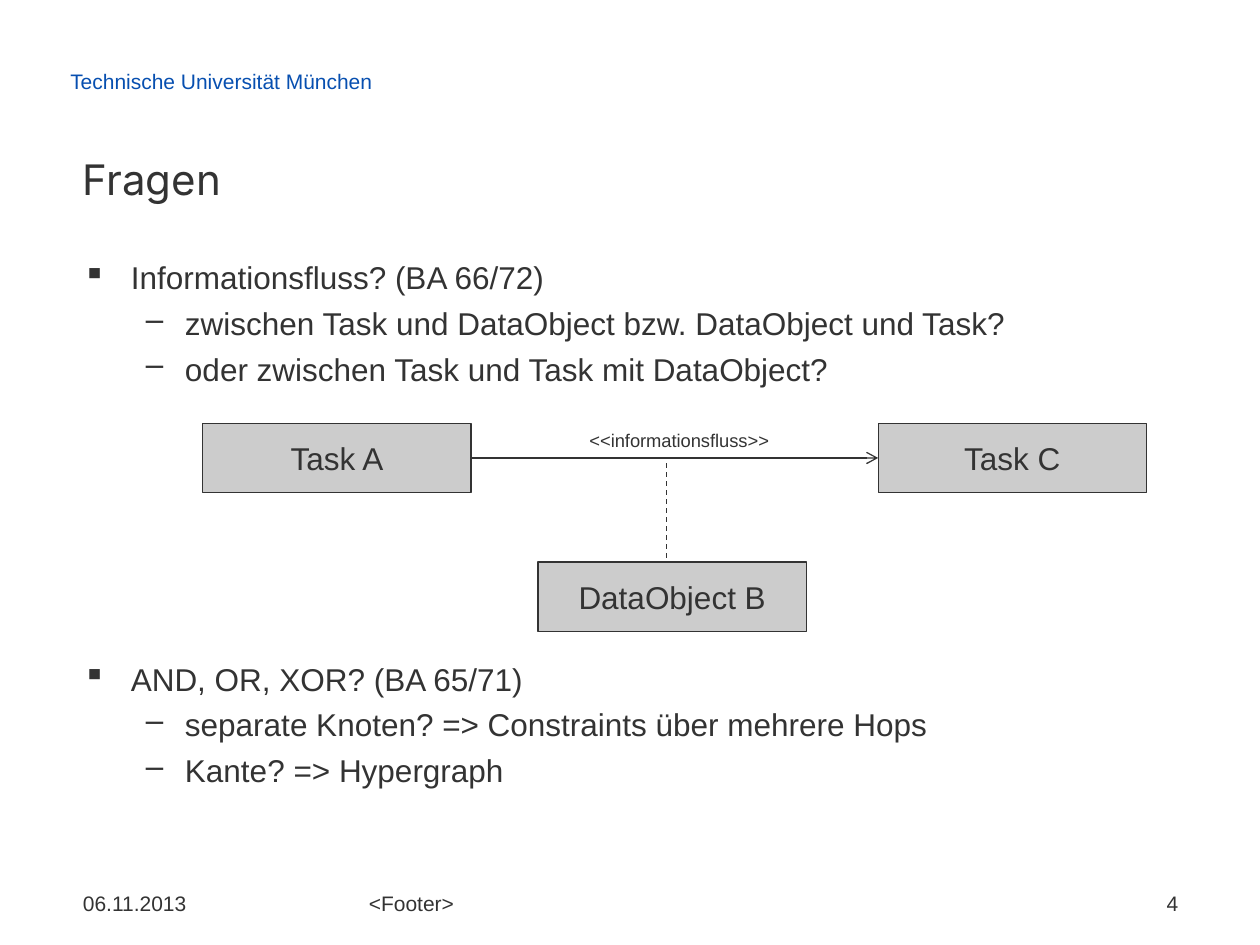
import pptx
import pptx.util
import pptx.dml.color
import pptx.enum.dml
import pptx.enum.shapes
import pptx.enum.text
import pptx.oxml.ns
import lxml.etree

Inches, Pt = pptx.util.Inches, pptx.util.Pt
RGBColor = pptx.dml.color.RGBColor
ALIGN = pptx.enum.text.PP_ALIGN
ANCHOR = pptx.enum.text.MSO_ANCHOR
qn = pptx.oxml.ns.qn

INK = RGBColor(0x33, 0x33, 0x33)
BLUE = RGBColor(0x07, 0x4F, 0xB0)
GREY = RGBColor(0xCC, 0xCC, 0xCC)

BULLETS = {0: ("▪", 0.38, -0.38), 1: ("–", 0.81, -0.31)}
DIAGRAM_GAP = 155.5
QUESTIONS = [
    (0, 0, "Informationsfluss? (BA 66/72)"),
    (1, 4.5, "zwischen Task und DataObject bzw. DataObject und Task?"),
    (1, 4.5, "oder zwischen Task und Task mit DataObject?"),
    (0, DIAGRAM_GAP, "AND, OR, XOR? (BA 65/71)"),
    (1, 4.5, "separate Knoten? => Constraints über mehrere Hops"),
    (1, 4.5, "Kante? => Hypergraph"),
]


def write(paragraph, text, size=18, font="Arial", color=INK, align=ALIGN.LEFT):
    """Put formatted text into a paragraph."""
    run = paragraph.add_run()
    run.text = text
    run.font.size = Pt(size)
    run.font.name = font
    run.font.color.rgb = color
    paragraph.alignment = align


def add_frame(slide, box, anchor=ANCHOR.TOP, wrap=True):
    """Add a text box at (left, top, width, height) and return its frame."""
    frame = slide.shapes.add_textbox(*map(Inches, box)).text_frame
    frame.word_wrap = wrap
    frame.vertical_anchor = anchor
    return frame


def add_label(slide, box, text, anchor=ANCHOR.MIDDLE, wrap=True, **text_format):
    """Add a text box holding one line."""
    write(add_frame(slide, box, anchor, wrap).paragraphs[0], text, **text_format)


def set_bullet(paragraph, level):
    """Give a paragraph the bullet and indents of its level."""
    mark, margin, indent = BULLETS[level]
    paragraph.level = level
    properties = paragraph._p.get_or_add_pPr()
    properties.set("marL", str(Inches(margin)))
    properties.set("indent", str(Inches(indent)))
    lxml.etree.SubElement(properties, qn("a:buChar")).set("char", mark)


def add_questions(slide, box):
    """Add the two-level list, leaving room for the diagram."""
    frame = add_frame(slide, box)
    for index, (level, space, text) in enumerate(QUESTIONS):
        paragraph = frame.add_paragraph() if index else frame.paragraphs[0]
        paragraph.space_before = Pt(space)
        set_bullet(paragraph, level)
        write(paragraph, text)


def add_node(slide, left, top, width, height, text):
    """Add one labelled box of the diagram."""
    node = slide.shapes.add_shape(
        pptx.enum.shapes.MSO_SHAPE.RECTANGLE,
        *map(Inches, (left, top, width, height)))
    node.shadow.inherit = False
    node.fill.solid()
    node.fill.fore_color.rgb = GREY
    node.line.color.rgb = INK
    node.line.width = Pt(0.75)
    node.text_frame.vertical_anchor = ANCHOR.MIDDLE
    write(node.text_frame.paragraphs[0], text, align=ALIGN.CENTER)


def add_link(slide, start, end, arrow=False, dashed=False):
    """Add a straight line between two points."""
    link = slide.shapes.add_connector(
        pptx.enum.shapes.MSO_CONNECTOR.STRAIGHT, *map(Inches, start + end))
    link.line.color.rgb = INK
    link.line.width = Pt(0.75)
    if dashed:
        link.line.dash_style = pptx.enum.dml.MSO_LINE.DASH
    if arrow:
        line = link.line._get_or_add_ln()
        lxml.etree.SubElement(line, qn("a:tailEnd")).set("type", "arrow")
    lxml.etree.SubElement(link._element.spPr, qn("a:effectLst"))


def add_diagram(slide, left, top, width, height):
    """Draw the flow from Task A to Task C with its data object."""
    node_w, node_h = 2.13, 0.55
    flow_y = top + node_h / 2
    data_top = top + height - node_h
    right = left + width - node_w
    add_node(slide, left, top, node_w, node_h, "Task A")
    add_node(slide, right, top, node_w, node_h, "Task C")
    add_link(slide, (left + node_w, flow_y), (right, flow_y), arrow=True)
    add_node(slide, left + 2.66, data_top, node_w, node_h, "DataObject B")
    data_x = left + 3.68
    add_link(slide, (data_x, flow_y + 0.04), (data_x, data_top), dashed=True)
    add_label(slide, (left + 2.97, top, 1.65, 0.28), "<<informationsfluss>>",
              anchor=ANCHOR.TOP, wrap=False, size=10.5)


def add_footer(slide, left, top, width, height):
    """Add date, footer text and page number."""
    side = 2.08
    add_label(slide, (left, top, side, height), "06.11.2013", size=12)
    add_label(slide, (left + 2.27, top, 4.33, height), "<Footer>", size=12)
    add_label(slide, (left + width - side, top, side, height), "4",
              size=12, align=ALIGN.RIGHT)


def build():
    """Build the slide and save it."""
    deck = pptx.Presentation()
    deck.slide_width, deck.slide_height = Inches(10), Inches(7.5)
    slide = deck.slides.add_slide(deck.slide_layouts[6])
    left, width = 0.56, 8.89
    add_label(slide, (0.46, 0.49, 2.67, 0.3), "Technische Universität München",
              anchor=ANCHOR.BOTTOM, size=12, color=BLUE)
    add_label(slide, (left, 1, width, 0.67), "Fragen",
              anchor=ANCHOR.BOTTOM, size=24, font="Inter")
    add_questions(slide, (left, 2, width, 4.75))
    add_footer(slide, left, 7, width, 0.33)
    add_diagram(slide, 1.61, 3.36, 7.49, 1.65)
    deck.save("out.pptx")


build()
